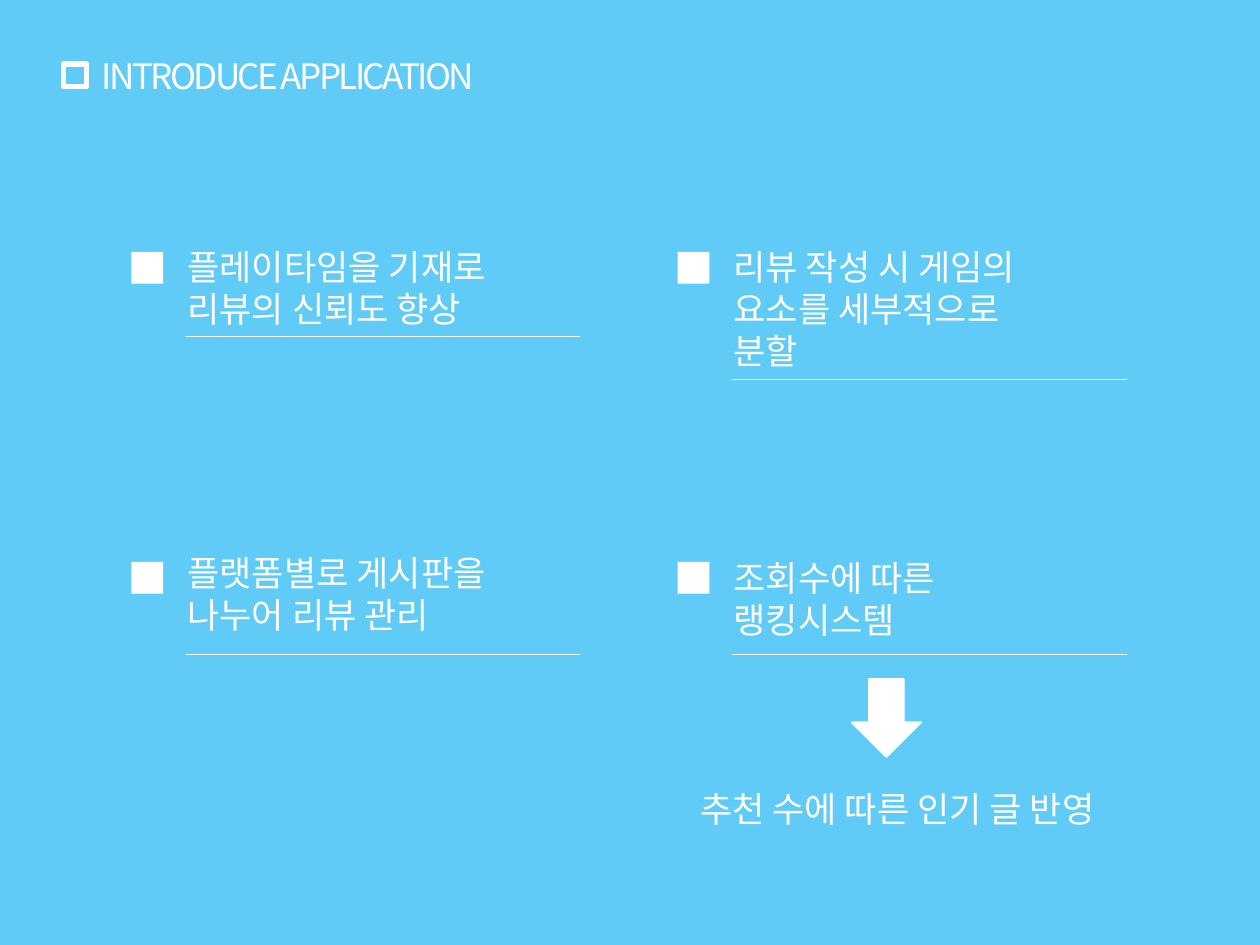
from lxml.etree import SubElement
from pptx import Presentation
from pptx.dml.color import RGBColor
from pptx.enum.shapes import MSO_CONNECTOR as Conn, MSO_SHAPE as Shape
from pptx.enum.text import MSO_ANCHOR as Anchor, MSO_AUTO_SIZE as AutoSize, PP_ALIGN as Align
from pptx.oxml.ns import qn
from pptx.util import Cm, Pt

FONT = "Noto Sans CJK KR"
WHITE = "FFFFFF"
SKY = "60CBF6"


def paint(fmt, color):
    fmt.solid()
    fmt.fore_color.rgb = RGBColor.from_string(color)


def write(sp, text, frame):
    tf = sp.text_frame
    for name, value in frame.items():
        setattr(tf, name, value)
    p = tf.paragraphs[0]
    p.alignment = Align.LEFT
    r = p.add_run()
    r.text = text
    for name, value in {"name": FONT, "size": Pt(20), "bold": False}.items():
        setattr(r.font, name, value)
    paint(r.font.fill, WHITE)
    SubElement(r.font._element, qn("a:ea"), typeface=FONT)
    return p, r


prs = Presentation()
prs.slide_width, prs.slide_height = Cm(25.4), Cm(19.05)
s = prs.slides.add_slide(prs.slide_layouts[5])
paint(s.background.fill, SKY)

title = s.shapes.title
for name, value in {"left": 1.8, "top": 1.07, "width": 21.8, "height": 1.88}.items():
    setattr(title, name, Cm(value))
p, r = write(title, "INTRODUCE APPLICATION",
             {"vertical_anchor": Anchor.TOP, "word_wrap": True, "auto_size": AutoSize.NONE})
p.line_spacing = 0.9
r.font._element.set("spc", "-150")

marker = s.shapes.add_shape(Shape.RECTANGLE, Cm(1.28), Cm(1.29), Cm(0.46), Cm(0.46))
marker.shadow.inherit = False
marker.fill.background()
paint(marker.line.fill, WHITE)
marker.line.width = Pt(3)

BODY = {"word_wrap": True, "auto_size": AutoSize.SHAPE_TO_FIT_TEXT}
LEFT, COL_STEP = 2.65, 11.01
TOP, ROW_STEP = 5.08, 6.25
features = [
    (0, 0, "플레이타임을 기재로 리뷰의 신뢰도 향상", 4.83, 1.96, 6.78),
    (1, 0, "리뷰 작성 시 게임의 요소를 세부적으로 분할", 4.83, 2.82, 7.65),
    (0, 1, "플랫폼별로 게시판을 나누어 리뷰 관리", 11, 1.96, 13.18),
    (1, 1, "조회수에 따른 랭킹시스템", 11.1, 1.96, 13.18),
]
for col, row, text, text_top, height, rule_y in features:
    x = LEFT + col * COL_STEP
    sp = s.shapes.add_shape(Shape.RECTANGLE, Cm(x), Cm(TOP + row * ROW_STEP), Cm(0.64), Cm(0.64))
    sp.shadow.inherit = False
    paint(sp.fill, WHITE)
    sp.line.fill.background()

    box = s.shapes.add_textbox(Cm(x + 0.88), Cm(text_top), Cm(6.65), Cm(height))
    write(box, text, BODY)

    rule = s.shapes.add_connector(Conn.STRAIGHT, Cm(x + 1.09), Cm(rule_y), Cm(x + 9.05), Cm(rule_y))
    paint(rule.line.fill, WHITE)
    rule.line.width = Pt(0.25)
    SubElement(rule._element.spPr, qn("a:effectLst"))

arrow = s.shapes.add_shape(Shape.DOWN_ARROW, Cm(17.17), Cm(13.69), Cm(1.4), Cm(1.57))
arrow.shadow.inherit = False
paint(arrow.fill, WHITE)
paint(arrow.line.fill, WHITE)
arrow.line.width = Pt(1)

result = s.shapes.add_textbox(Cm(13.87), Cm(15.75), Cm(9.07), Cm(1.11))
write(result, "추천 수에 따른 인기 글 반영", BODY)

prs.save("out.pptx")
